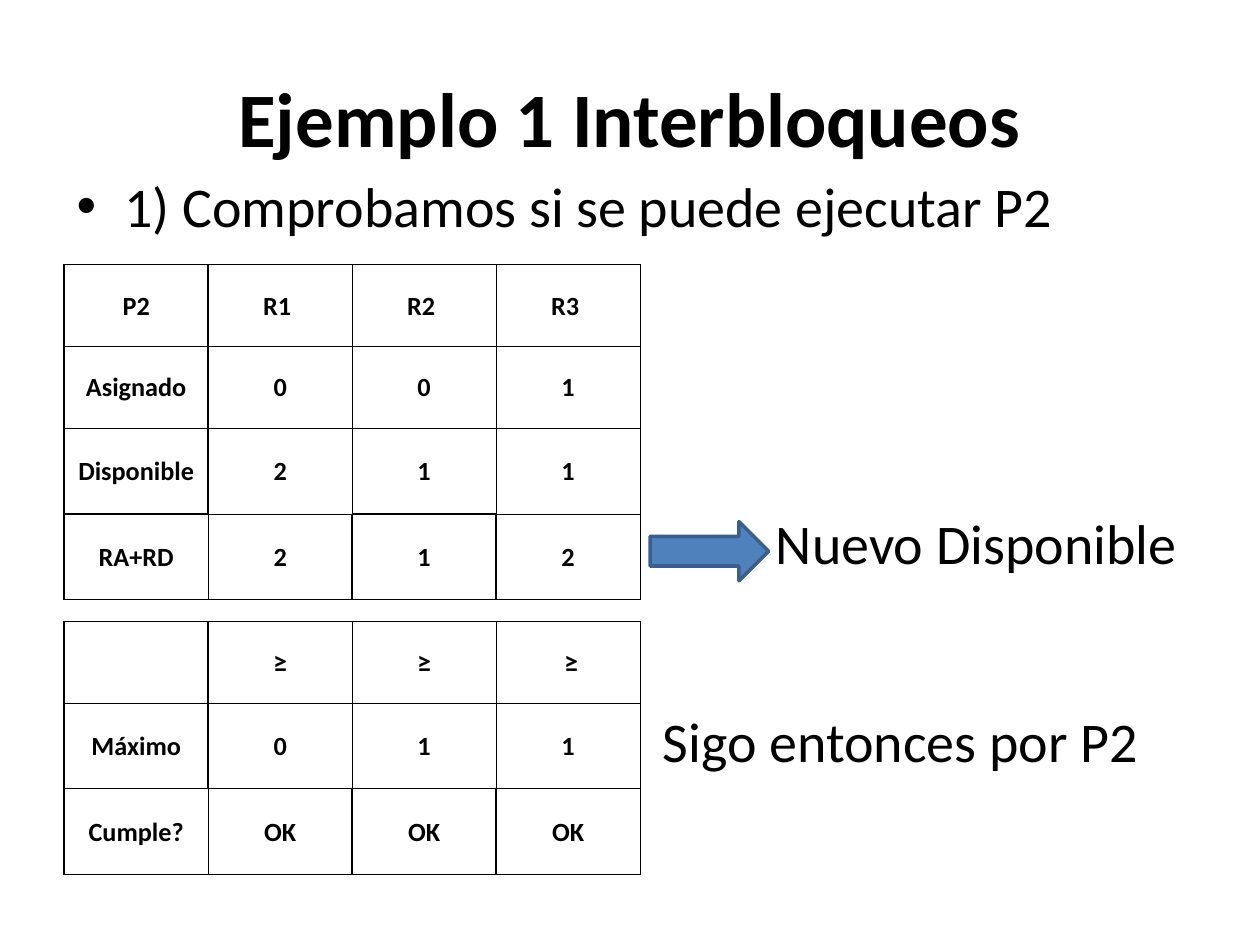
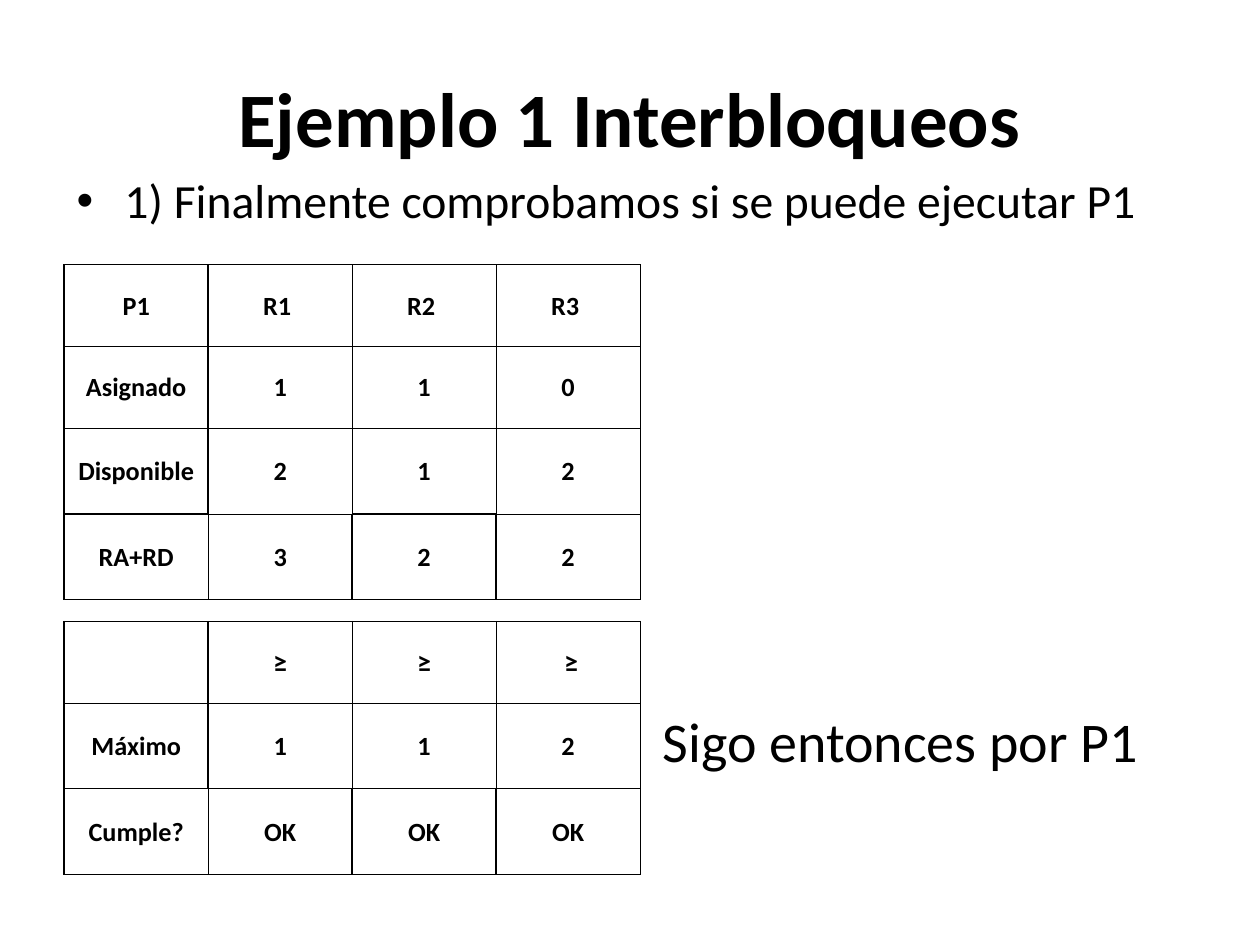
from dataclasses import dataclass

from lxml import etree
from pptx import Presentation
from pptx import util as u
from pptx.dml.color import RGBColor
from pptx.enum import shapes, text
from pptx.oxml import ns

BLACK = RGBColor(0x00, 0x00, 0x00)
ARROW_FILL = RGBColor(0x4F, 0x81, 0xBD)
ARROW_LINE = RGBColor(0x3A, 0x5F, 0x8C)
FONT = "Calibri"

TITLE = "Ejemplo 1 Interbloqueos"
RESOURCES = ("R1 ", "R2 ", "R3 ")
COMPARISONS = ("", "≥", "≥", " ≥")
VERDICTS = ("Cumple?", "OK", "OK", "OK")

TABLE_LEFT = 36.72
COLUMN_WIDTH = 82.28
HEADER_HEIGHT, VALUE_HEIGHT = 46.8, 48.96
CELL_MARGIN = 0.72
HANGING_INDENT = 27.36
TABLE_SIZE, COMPARISON_SIZE, NOTE_SIZE = 15, 16, 32
THIN, THICK = 0.5, 1


@dataclass(frozen=True)
class Box:
    left: float
    top: float
    width: float
    height: float

    def lengths(self) -> list[u.Length]:
        return [u.Pt(value) for value in (self.left, self.top, self.width, self.height)]


@dataclass(frozen=True)
class ProcessCheck:
    process: str
    statement: str
    statement_size: float
    assigned: tuple[int, ...]
    available: tuple[int, ...]
    maximum: tuple[int, ...]
    marks_new_available: bool = False


TITLE_BOX = Box(36, 21.6, 648, 90)
STATEMENT_BOX = Box(36.72, 94.32, 640.8, 45.36)
CONCLUSION_BOX = Box(371.52, 400.32, 323.28, 96.48)
ARROW_BOX = Box(371.52, 298.08, 67.68, 33.84)
NEW_AVAILABLE_BOX = Box(436.32, 287.28, 263.52, 96.48)

CHECKS = (
    ProcessCheck("P2", "1) Comprobamos si se puede ejecutar P2", 32,
                 (0, 0, 1), (2, 1, 1), (0, 1, 1), True),
    ProcessCheck("P1", "1) Finalmente comprobamos si se puede ejecutar P1", 27.2,
                 (1, 1, 0), (2, 1, 2), (1, 1, 2)),
)


def add_run(paragraph, content: str, size: float, bold: bool = False) -> None:
    run = paragraph.add_run()
    run.text = content
    run.font.name = FONT
    run.font.size = u.Pt(size)
    run.font.bold = bold
    run.font.color.rgb = BLACK


def add_text_box(slide, box: Box):
    frame = slide.shapes.add_textbox(*box.lengths()).text_frame
    frame.word_wrap = True
    return frame


def add_title(slide) -> None:
    frame = add_text_box(slide, TITLE_BOX)
    frame.vertical_anchor = text.MSO_ANCHOR.MIDDLE
    paragraph = frame.paragraphs[0]
    paragraph.alignment = text.PP_ALIGN.CENTER
    add_run(paragraph, TITLE, 44, bold=True)


def add_note(slide, box: Box, content: str, size: float = NOTE_SIZE,
             bullet: bool = False) -> None:
    paragraph = add_text_box(slide, box).paragraphs[0]
    properties = paragraph._p.get_or_add_pPr()
    properties.set("marL", str(u.Pt(HANGING_INDENT)))
    properties.set("indent", str(-u.Pt(HANGING_INDENT)))
    spacing = etree.SubElement(properties, ns.qn("a:spcBef"))
    etree.SubElement(spacing, ns.qn("a:spcPct"), val="20000")
    if bullet:
        etree.SubElement(properties, ns.qn("a:buFont"), typeface="Arial")
        etree.SubElement(properties, ns.qn("a:buChar"), char="•")
    else:
        etree.SubElement(properties, ns.qn("a:buNone"))
    add_run(paragraph, content, size)


def set_borders(cell, widths: dict[str, float]) -> None:
    properties = cell._tc.get_or_add_tcPr()
    for position, (side, width) in enumerate(widths.items()):
        line = etree.Element(ns.qn(f"a:ln{side}"), w=str(u.Pt(width)))
        fill = etree.SubElement(line, ns.qn("a:solidFill"))
        etree.SubElement(fill, ns.qn("a:srgbClr"), val=str(BLACK))
        properties.insert(position, line)


def vertical_widths(is_last_row: bool) -> tuple[float, ...]:
    if is_last_row:
        return THICK, THIN, THICK, THICK, THIN
    return THICK, THICK, THIN, THIN, THIN


def horizontal_widths(rows_below: int) -> tuple[float, ...]:
    if rows_below == 0:
        return (THICK,) * 4
    if rows_below == 1:
        return THICK, THIN, THICK, THIN
    return (THIN,) * 4


def fill_cell(cell, content: str) -> None:
    cell.fill.background()
    cell.vertical_anchor = text.MSO_ANCHOR.MIDDLE
    cell.margin_left = cell.margin_right = cell.margin_top = u.Pt(CELL_MARGIN)
    cell.margin_bottom = u.Pt(0)
    paragraph = cell.text_frame.paragraphs[0]
    paragraph.alignment = text.PP_ALIGN.CENTER
    for part in filter(None, content.partition("≥")):
        size = COMPARISON_SIZE if part == "≥" else TABLE_SIZE
        add_run(paragraph, part, size, bold=True)


def add_table(slide, top: float, rows: list[tuple]) -> None:
    row_count, column_count = len(rows), len(rows[0])
    heights = [HEADER_HEIGHT] * (row_count - 2) + [VALUE_HEIGHT] * 2
    box = Box(TABLE_LEFT, top, COLUMN_WIDTH * column_count, sum(heights))
    table = slide.shapes.add_table(row_count, column_count, *box.lengths()).table
    table.first_row = table.horz_banding = False
    for column in table.columns:
        column.width = u.Pt(COLUMN_WIDTH)
    for row_index, values in enumerate(rows):
        table.rows[row_index].height = u.Pt(heights[row_index])
        rows_below = row_count - 1 - row_index
        vertical = vertical_widths(rows_below == 0)
        above = horizontal_widths(rows_below + 1)
        below = horizontal_widths(rows_below)
        for column_index, value in enumerate(values):
            cell = table.cell(row_index, column_index)
            fill_cell(cell, str(value))
            set_borders(cell, {
                "L": vertical[column_index],
                "R": vertical[column_index + 1],
                "T": above[column_index],
                "B": below[column_index],
            })


def add_arrow(slide) -> None:
    arrow = slide.shapes.add_shape(shapes.MSO_SHAPE.RIGHT_ARROW, *ARROW_BOX.lengths())
    arrow.shadow.inherit = False
    arrow.fill.solid()
    arrow.fill.fore_color.rgb = ARROW_FILL
    arrow.line.color.rgb = ARROW_LINE
    arrow.line.width = u.Pt(2)


def add_check_slide(presentation, check: ProcessCheck) -> None:
    slide = presentation.slides.add_slide(presentation.slide_layouts[6])
    released = [a + b for a, b in zip(check.assigned, check.available)]
    add_title(slide)
    add_table(slide, 151.2, [
        (check.process, *RESOURCES),
        ("Asignado", *check.assigned),
        ("Disponible", *check.available),
        ("RA+RD", *released),
    ])
    add_table(slide, 354.96, [COMPARISONS, ("Máximo", *check.maximum), VERDICTS])
    add_note(slide, CONCLUSION_BOX, f"Sigo entonces por {check.process}")
    add_note(slide, STATEMENT_BOX, check.statement, check.statement_size, bullet=True)
    if check.marks_new_available:
        add_arrow(slide)
        add_note(slide, NEW_AVAILABLE_BOX, "Nuevo Disponible")


def main() -> None:
    presentation = Presentation()
    presentation.slide_width = u.Pt(720)
    presentation.slide_height = u.Pt(540)
    for check in CHECKS:
        add_check_slide(presentation, check)
    presentation.save("out.pptx")


if __name__ == "__main__":
    main()
